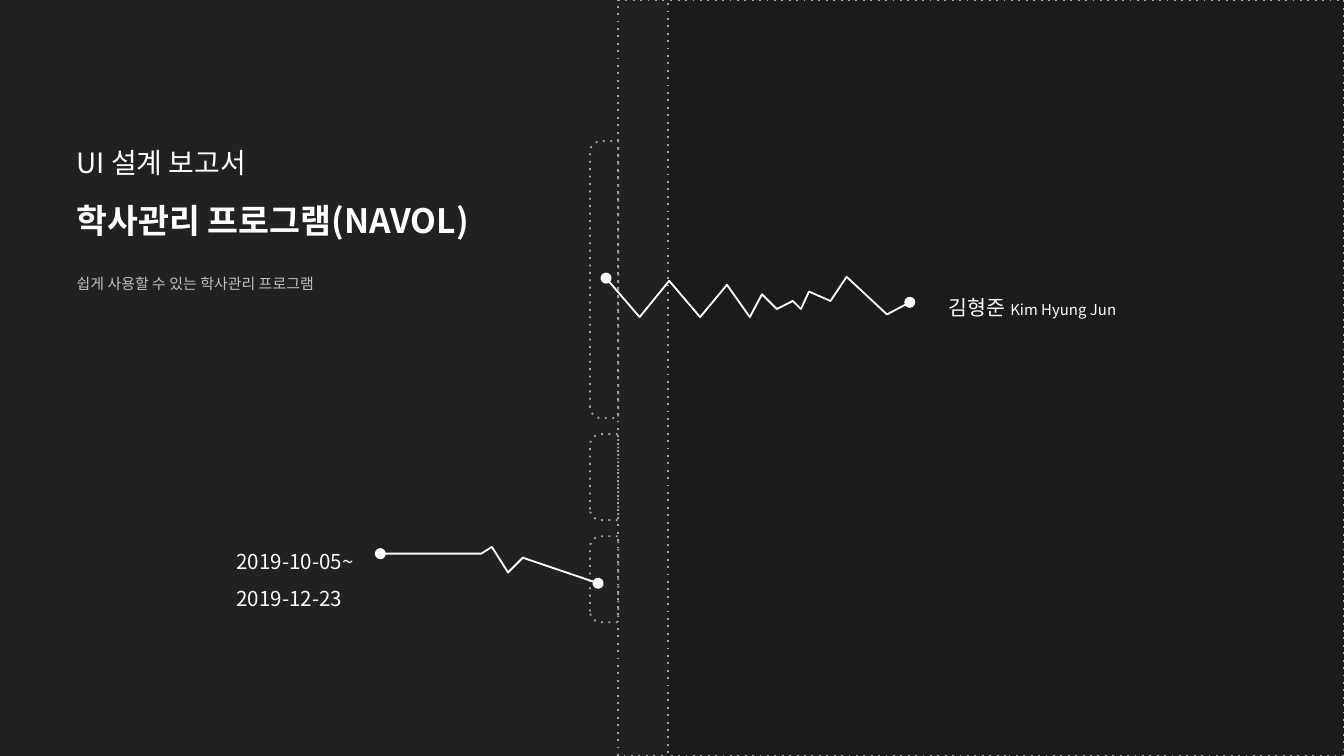
from lxml import etree
from pptx import Presentation
from pptx.dml.color import RGBColor
from pptx.enum.shapes import MSO_SHAPE
from pptx.oxml.ns import qn
from pptx.util import Inches, Pt

RECT = MSO_SHAPE.RECTANGLE
TAB = MSO_SHAPE.ROUND_2_SAME_RECTANGLE
FONT = "Noto Sans CJK KR"
COLORS = {"back": "212121", "panel": "1B1B1B", "dots": "A5A5A5",
          "white": "FFFFFF", "muted": "BFBFBF"}


def rgb(name):
    return RGBColor.from_string(COLORS[name])


def style_shape(sp, fill, line):
    """Set fill and line, and return the line's XML element."""
    sp.shadow.inherit = False
    if fill:
        sp.fill.solid()
        sp.fill.fore_color.rgb = rgb(fill)
    else:
        sp.fill.background()
    sp.line.color.rgb = rgb(line)
    sp.line.width = Pt(1)
    return sp._element.spPr.find(qn("a:ln"))


prs = Presentation()
prs.slide_width = Inches(10)
prs.slide_height = Inches(10 * 9 / 16)
s = prs.slides.add_slide(prs.slide_layouts[6])
s.background.fill.solid()
s.background.fill.fore_color.rgb = rgb("back")

# Dotted panels and the index tabs on the notebook's edge
EDGE, TAB_WIDTH, HEIGHT = 4.6, 0.21, 10 * 9 / 16
tabs = []
for top, length in [(1.05, 2.06), (3.23, 0.64), (3.99, 0.64)]:
    # A tab is drawn lying down and turned about its centre
    left = EDGE - TAB_WIDTH / 2 - length / 2
    tabs.append((TAB, left, top + length / 2 - TAB_WIDTH / 2, length, TAB_WIDTH, None))
panels = [(RECT, EDGE, 0, 5.4, HEIGHT, "back"), *tabs,
          (RECT, 4.97, 0, 5.03, HEIGHT, "panel")]
for kind, x, y, w, h, fill in panels:
    sp = s.shapes.add_shape(kind, Inches(x), Inches(y), Inches(w), Inches(h))
    ln = style_shape(sp, fill, "dots")
    etree.SubElement(ln, qn("a:prstDash"), val="dot")
    if kind == TAB:
        sp.rotation = 270
        sp.adjustments[0] = 0.385

# Zigzag lines with round ends
zigzags = [
    [(4.51, 2.07), (4.76, 2.36), (4.98, 2.09), (5.21, 2.36), (5.41, 2.12),
     (5.58, 2.36), (5.67, 2.19), (5.78, 2.3), (5.9, 2.24), (5.96, 2.3),
     (6.02, 2.17), (6.18, 2.24), (6.3, 2.06), (6.6, 2.34), (6.77, 2.25)],
    [(2.83, 4.12), (3.58, 4.12), (3.66, 4.07), (3.78, 4.26), (3.89, 4.15),
     (4.45, 4.34)],
]
for zigzag in zigzags:
    points = [(Inches(x), Inches(y)) for x, y in zigzag]
    builder = s.shapes.build_freeform(*points[0])
    builder.add_line_segments(points[1:], close=False)
    ln = style_shape(builder.convert_to_shape(), None, "white")
    for end in ("a:headEnd", "a:tailEnd"):
        etree.SubElement(ln, qn(end), type="oval")

# Each paragraph: space before, then runs of (text, size, colour, bold)
texts = [
    ((0.49, 0.92, 3.22, 1.48), [
        (0, [("UI 설계 보고서", 15, "white", False)]),
        (0, [("학사관리 프로그램(NAVOL)", 18, "white", True)]),
        (14, [("쉽게 사용할 수 있는 학사관리 프로그램", 8, "muted", False)])]),
    ((6.98, 2.06, 1.77, 0.31), [
        (0, [("김형준 ", 11, "white", False), ("Kim Hyung Jun", 8, "white", False)])]),
    ((1.68, 3.95, 1.04, 0.31), [
        (0, [("2019-10-05~", 11, "white", False)]),
        (0, [("2019-12-23", 11, "white", False)])]),
]
for box, paragraphs in texts:
    tf = s.shapes.add_textbox(*map(Inches, box)).text_frame
    tf.word_wrap = True
    tf.margin_left = tf.margin_right = Inches(0.08)
    tf.margin_top = tf.margin_bottom = Inches(0.04)
    for i, (space, runs) in enumerate(paragraphs):
        p = tf.add_paragraph() if i else tf.paragraphs[0]
        p.line_spacing = 1.5
        p.space_before = Pt(space)
        for text, size, color, bold in runs:
            r = p.add_run()
            r.text = text
            r.font.size = Pt(size)
            r.font.bold = bold
            r.font.color.rgb = rgb(color)
            r.font.name = FONT
            etree.SubElement(r.font._element, qn("a:ea"), typeface=FONT)

prs.save("out.pptx")
